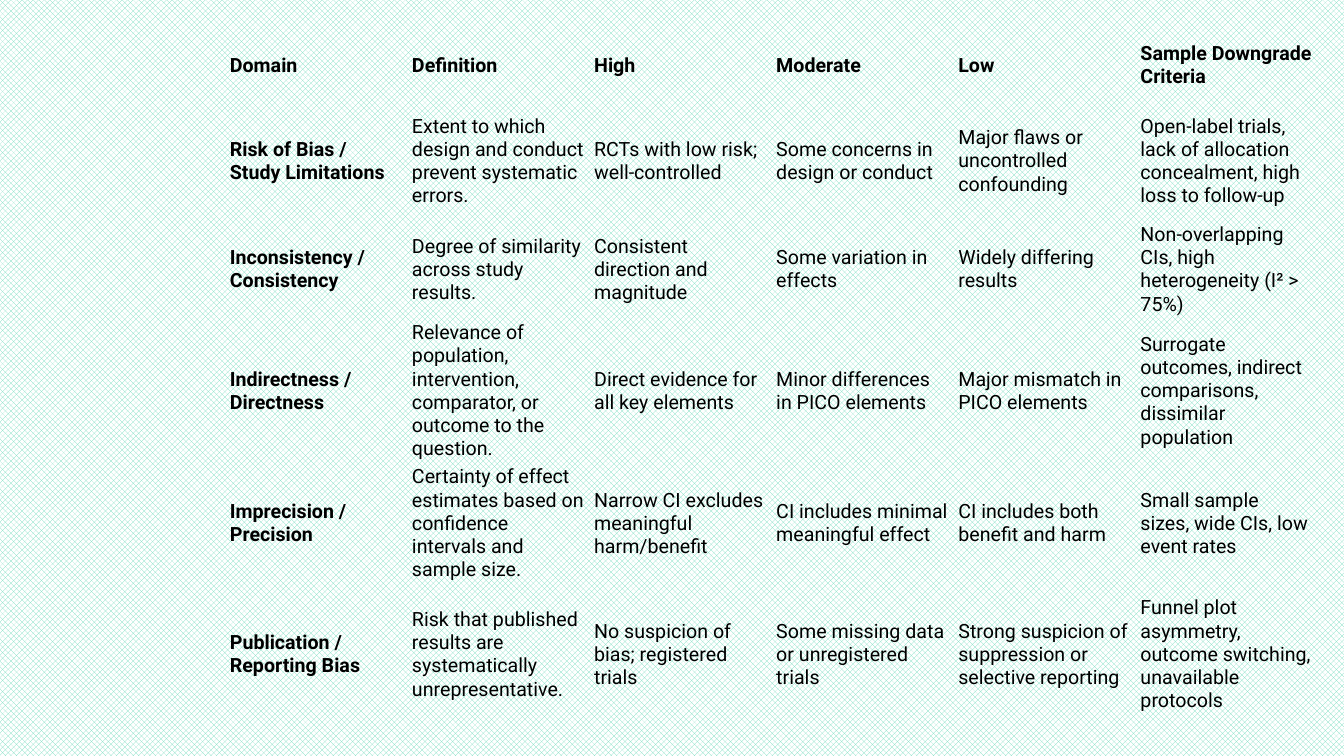
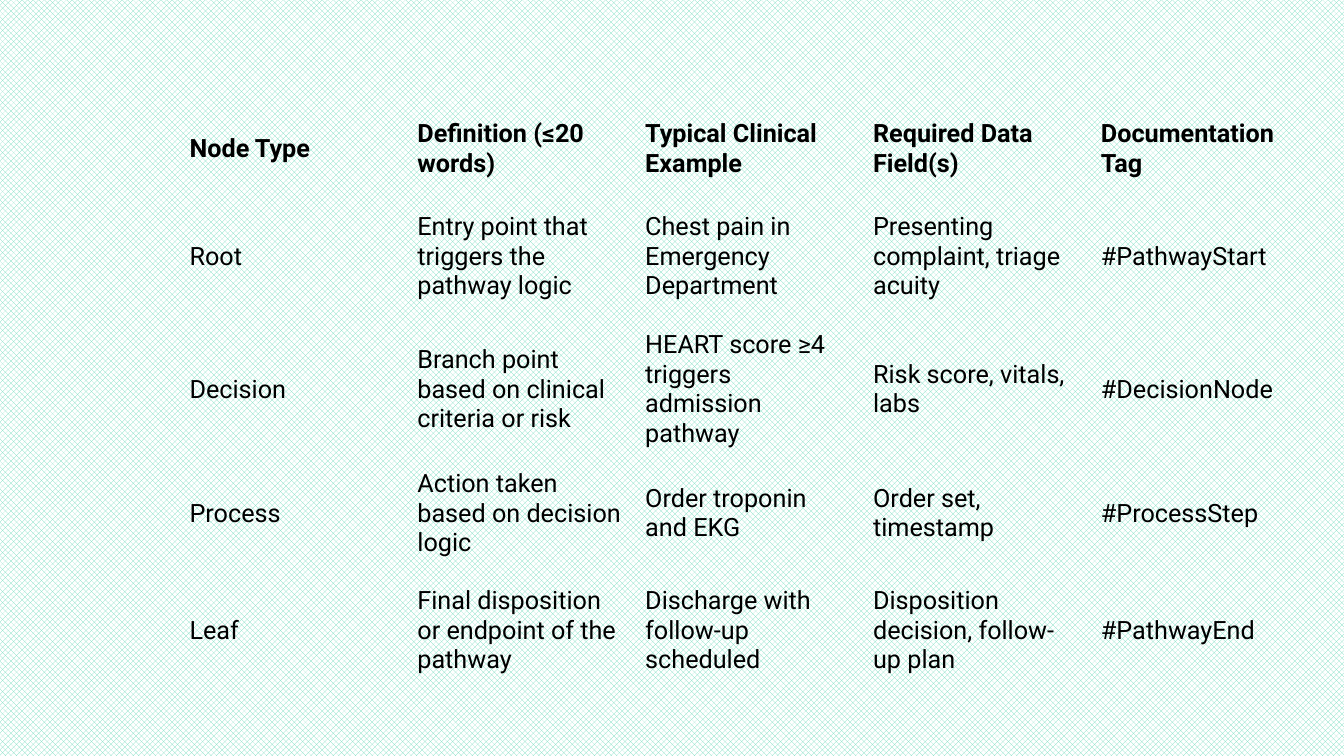
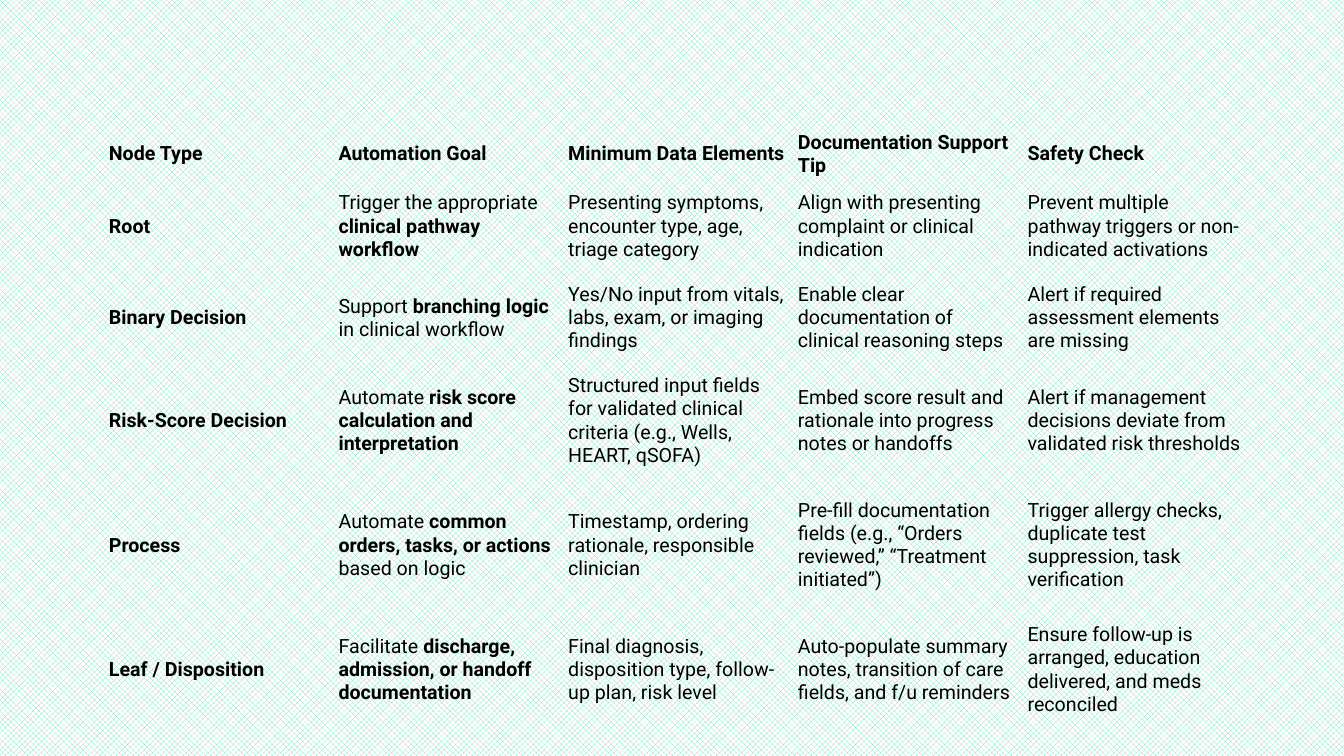
from pptx import Presentation
from pptx.dml.color import RGBColor
from pptx.enum.dml import MSO_PATTERN
from pptx.enum.text import MSO_ANCHOR
from pptx.oxml.ns import qn
from pptx.util import Inches, Pt

BLACK = RGBColor(0x00, 0x00, 0x00)
WHITE = RGBColor(0xFF, 0xFF, 0xFF)
MINT = RGBColor(0x73, 0xDC, 0xBE)
FONT = "Roboto"
NO_STYLE_NO_GRID = "{2D5ABB26-0587-4C30-8999-92F81FD0307C}"

deck = Presentation()
deck.slide_width, deck.slide_height = Inches(13.33), Inches(7.5)

# Diamond-pattern background, shared through the slide master
backdrop = deck.slide_master.background.fill
backdrop.patterned()
backdrop.pattern = MSO_PATTERN.from_xml("openDmnd")
backdrop.fore_color.rgb = MINT
backdrop.back_color.rgb = WHITE


def add_matrix(rows, left, top, width, heights, size, margins, bold_labels):
    """Add a slide with one table; ** toggles bold, the header is always bold."""
    slide = deck.slides.add_slide(deck.slide_layouts[6])
    columns = len(rows[0])
    matrix = slide.shapes.add_table(
        len(rows), columns, Inches(left), Inches(top),
        Inches(width), Inches(sum(heights))).table
    matrix.first_row = matrix.horz_banding = False
    matrix._tbl.tblPr.find(qn("a:tableStyleId")).text = NO_STYLE_NO_GRID
    for column in matrix.columns:
        column.width = Inches(width / columns)
    side, upright = margins
    for r, (row, height) in enumerate(zip(rows, heights)):
        matrix.rows[r].height = Inches(height)
        for c, text in enumerate(row):
            cell = matrix.cell(r, c)
            cell.fill.background()
            cell.vertical_anchor = MSO_ANCHOR.MIDDLE
            cell.margin_left = cell.margin_right = Inches(side)
            cell.margin_top = cell.margin_bottom = Inches(upright)
            strong = r == 0 or (bold_labels and c == 0)
            for n, part in enumerate(text.split("**")):
                if not part:
                    continue
                run = cell.text_frame.paragraphs[0].add_run()
                run.text = part
                run.font.name = FONT
                run.font.size = Pt(size)
                run.font.bold = strong or n % 2 == 1
                run.font.color.rgb = BLACK


# Slide 1: certainty-of-evidence domains
evidence_domains = [
    ("Domain", "Definition", "High", "Moderate", "Low",
     "Sample Downgrade Criteria"),
    ("Risk of Bias / Study Limitations",
     "Extent to which design and conduct prevent systematic errors.",
     "RCTs with low risk; well-controlled",
     "Some concerns in design or conduct",
     "Major flaws or uncontrolled confounding",
     "Open-label trials, lack of allocation concealment, high loss to follow-up"),
    ("Inconsistency / Consistency",
     "Degree of similarity across study results.",
     "Consistent direction and magnitude",
     "Some variation in effects",
     "Widely differing results",
     "Non-overlapping CIs, high heterogeneity (I² > 75%)"),
    ("Indirectness / Directness",
     "Relevance of population, intervention, comparator, or outcome to the question.",
     "Direct evidence for all key elements",
     "Minor differences in PICO elements",
     "Major mismatch in PICO elements",
     "Surrogate outcomes, indirect comparisons, dissimilar population"),
    ("Imprecision / Precision",
     "Certainty of effect estimates based on confidence intervals and sample size.",
     "Narrow CI excludes meaningful harm/benefit",
     "CI includes minimal meaningful effect",
     "CI includes both benefit and harm",
     "Small sample sizes, wide CIs, low event rates"),
    ("Publication / Reporting Bias",
     "Risk that published results are systematically unrepresentative.",
     "No suspicion of bias; registered trials",
     "Some missing data or unregistered trials",
     "Strong suspicion of suppression or selective reporting",
     "Funnel plot asymmetry, outcome switching, unavailable protocols"),
]
add_matrix(evidence_domains, left=2.23, top=0.29, width=10.84,
           heights=[0.72, 1.18, 0.97, 1.44, 1.18, 1.41],
           size=14, margins=(0.05, 0.02), bold_labels=True)

# Slide 2: pathway node types
node_types = [
    ("Node Type", "Definition (≤20 words)", "Typical Clinical Example",
     "Required Data Field(s)", "Documentation Tag"),
    ("Root", "Entry point that triggers the pathway logic",
     "Chest pain in Emergency Department",
     "Presenting complaint, triage acuity", "#PathwayStart"),
    ("Decision", "Branch point based on clinical criteria or risk",
     "HEART score ≥4 triggers admission pathway",
     "Risk score, vitals, labs", "#DecisionNode"),
    ("Process", "Action taken based on decision logic",
     "Order troponin and EKG", "Order set, timestamp", "#ProcessStep"),
    ("Leaf", "Final disposition or endpoint of the pathway",
     "Discharge with follow-up scheduled",
     "Disposition decision, follow-up plan", "#PathwayEnd"),
]
add_matrix(node_types, left=1.78, top=1.04, width=11.3,
           heights=[0.88, 1.25, 1.39, 1.07, 1.25],
           size=18, margins=(0.1, 0.05), bold_labels=False)

# Slide 3: automation by node type
node_automation = [
    ("Node Type", "Automation Goal", "Minimum Data Elements",
     "Documentation Support Tip", "Safety Check"),
    ("Root",
     "Trigger the appropriate **clinical pathway workflow**",
     "Presenting symptoms, encounter type, age, triage category",
     "Align with presenting complaint or clinical indication",
     "Prevent multiple pathway triggers or non-indicated activations"),
    ("Binary Decision",
     "Support **branching logic** in clinical workflow",
     "Yes/No input from vitals, labs, exam, or imaging findings",
     "Enable clear documentation of clinical reasoning steps",
     "Alert if required assessment elements are missing"),
    ("Risk-Score Decision",
     "Automate **risk score calculation and interpretation**",
     "Structured input fields for validated clinical criteria (e.g., Wells, HEART, qSOFA)",
     "Embed score result and rationale into progress notes or handoffs",
     "Alert if management decisions deviate from validated risk thresholds"),
    ("Process",
     "Automate **common orders, tasks, or actions** based on logic",
     "Timestamp, ordering rationale, responsible clinician",
     "Pre-fill documentation fields (e.g., “Orders reviewed,” “Treatment initiated”)",
     "Trigger allergy checks, duplicate test suppression, task verification"),
    ("Leaf / Disposition",
     "Facilitate **discharge, admission, or handoff documentation**",
     "Final diagnosis, disposition type, follow-up plan, risk level",
     "Auto-populate summary notes, transition of care fields, and f/u reminders",
     "Ensure follow-up is arranged, education delivered, and meds reconciled"),
]
add_matrix(node_automation, left=1.02, top=1.27, width=11.39,
           heights=[0.5, 0.91, 0.91, 1.13, 1.34, 1.13],
           size=14, margins=(0.06, 0.03), bold_labels=True)

deck.save("out.pptx")
